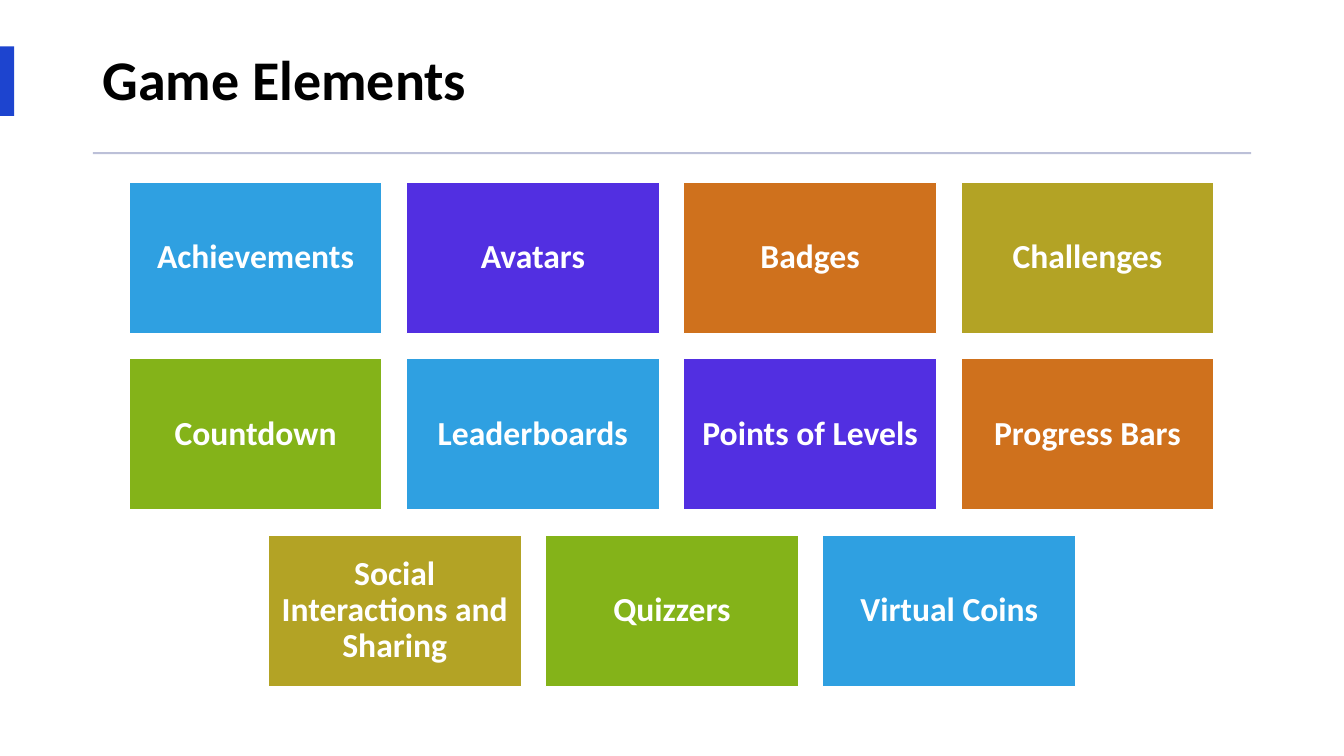
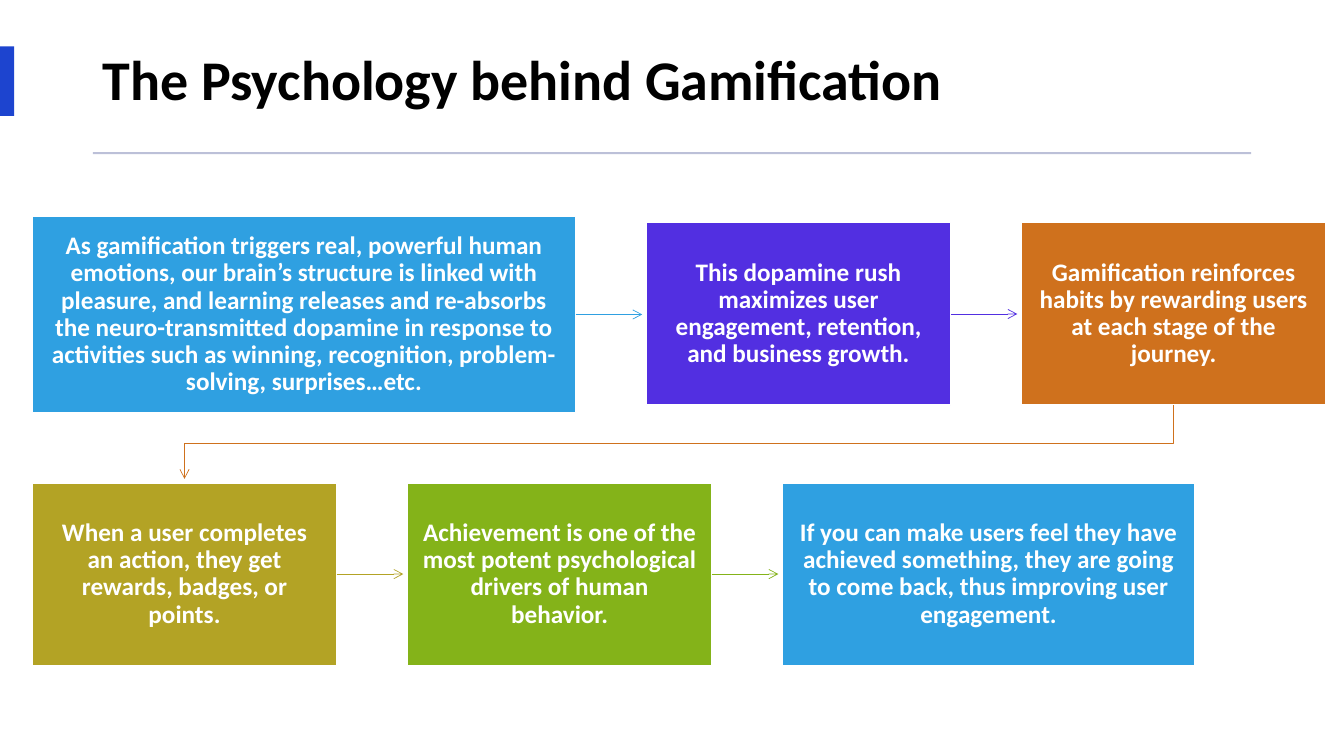
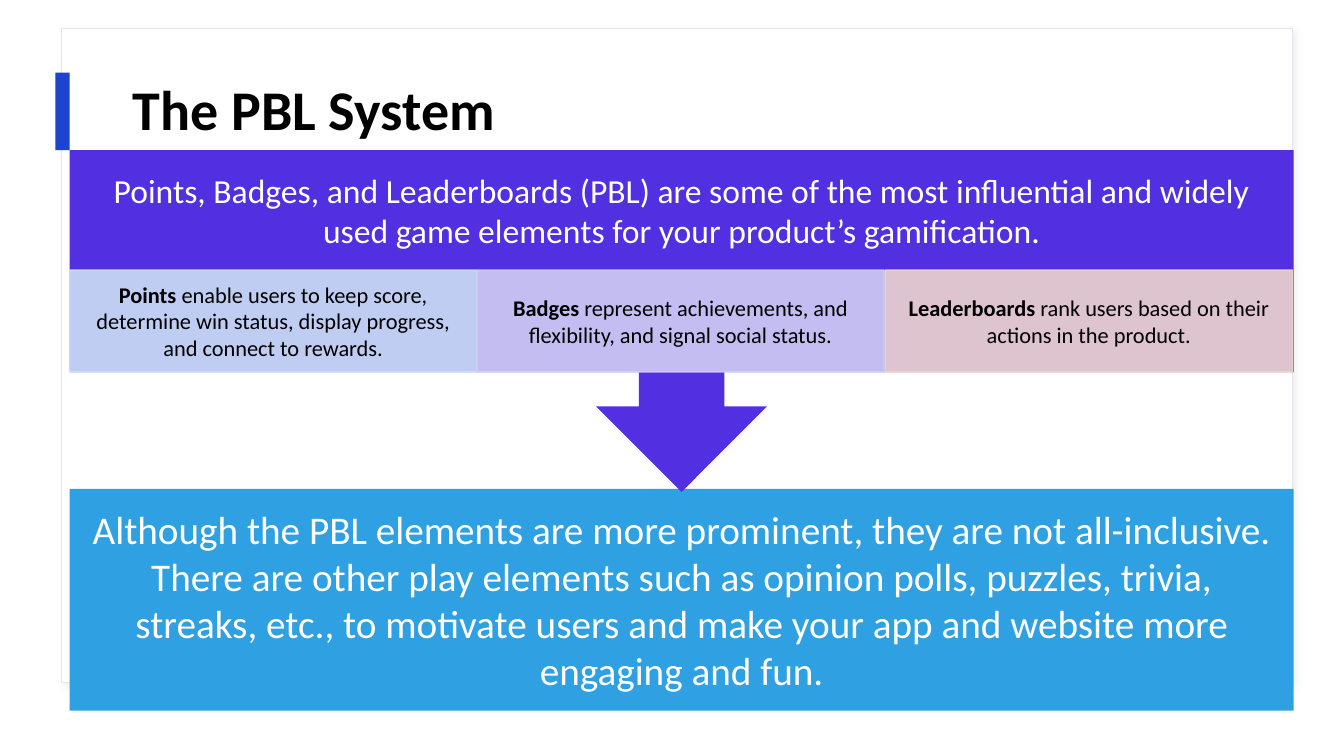
from dataclasses import dataclass
from typing import Optional

from lxml.etree import SubElement
from pptx import Presentation
from pptx.dml.color import RGBColor
from pptx.enum.shapes import MSO_CONNECTOR, MSO_SHAPE
from pptx.enum.text import MSO_ANCHOR, PP_ALIGN
from pptx.oxml.ns import qn
from pptx.util import Emu, Pt

PX = 9144  # EMU per px, 100 px to the inch
SLIDE_W, SLIDE_H = 1333, 750

FONT = "Calibri"
WHITE = RGBColor(0xFF, 0xFF, 0xFF)
BLACK = RGBColor(0x00, 0x00, 0x00)
ACCENT = RGBColor(0x1D, 0x44, 0xCF)
RULE = RGBColor(0xBC, 0xC0, 0xD8)
CARD_LINE = RGBColor(0xE4, 0xE6, 0xF0)
CARD_SHADOW = RGBColor(0xCA, 0xC7, 0xBC)
SKY = RGBColor(0x2F, 0xA0, 0xE1)
VIOLET = RGBColor(0x52, 0x2F, 0xE1)
ORANGE = RGBColor(0xCF, 0x71, 0x1D)
OLIVE = RGBColor(0xB3, 0xA3, 0x25)
GREEN = RGBColor(0x84, 0xB3, 0x19)
PALE_BLUE = RGBColor(0xCD, 0xDF, 0xF4)
PALE_VIOLET = RGBColor(0xD1, 0xCD, 0xF4)
PALE_ORANGE = RGBColor(0xED, 0xD5, 0xCD)
CYCLE = (SKY, VIOLET, ORANGE, OLIVE, GREEN)


@dataclass(frozen=True)
class Rect:
    x: int
    y: int
    w: int
    h: int

    def emu(self) -> tuple:
        return tuple(Emu(v * PX) for v in (self.x, self.y, self.w, self.h))


@dataclass(frozen=True)
class Run:
    text: str
    bold: bool = False


@dataclass(frozen=True)
class TextStyle:
    size: int
    color: RGBColor = WHITE
    align: PP_ALIGN = PP_ALIGN.CENTER
    spacing: float = 1.0
    insets: tuple = (10, 10, 10, 10)  # left, top, right, bottom


@dataclass(frozen=True)
class Step:
    text: str
    w: int
    h: int = 181


@dataclass(frozen=True)
class Detail:
    term: str
    text: str
    color: RGBColor


TITLE = TextStyle(40, BLACK, PP_ALIGN.LEFT, 0.9, (10, 5, 10, 5))
TILE = TextStyle(24, spacing=0.9)
STEP = TextStyle(18, spacing=0.9, insets=(15, 16, 15, 16))
# The bottom inset leaves room for the detail row inside the callout
INTRO = TextStyle(24, insets=(19, 19, 19, 120))
DETAIL = TextStyle(16, BLACK, insets=(12, 2, 12, 2))
SUMMARY = TextStyle(28, insets=(22, 22, 22, 22))


# Shared helpers
def write(s, style: TextStyle, runs: list[Run]) -> None:
    tf = s.text_frame
    tf.word_wrap = True
    tf.vertical_anchor = MSO_ANCHOR.MIDDLE
    tf.margin_left, tf.margin_top, tf.margin_right, tf.margin_bottom = (
        Emu(v * PX) for v in style.insets)
    p = tf.paragraphs[0]
    p.alignment = style.align
    p.line_spacing = style.spacing
    for run in runs:
        r = p.add_run()
        r.text = run.text
        r.font.name = FONT
        r.font.size = Pt(style.size)
        r.font.bold = run.bold
        r.font.color.rgb = style.color


def add_box(slide, rect: Rect, fill: RGBColor, line: Optional[RGBColor] = None,
            preset: MSO_SHAPE = MSO_SHAPE.RECTANGLE):
    s = slide.shapes.add_shape(preset, *rect.emu())
    s.shadow.inherit = False
    s.fill.solid()
    s.fill.fore_color.rgb = fill
    if line is None:
        s.line.fill.background()
    else:
        s.line.color.rgb = line
        s.line.width = Pt(1)
    return s


def set_alpha(s, percent: int) -> None:
    for clr in s._element.spPr.iter(qn("a:srgbClr")):
        SubElement(clr, qn("a:alpha")).set("val", str(percent * 1000))


def style_arrow(s, color: RGBColor) -> None:
    s.line.color.rgb = color
    s.line.width = Pt(0.5)
    SubElement(s.line._get_or_add_ln(), qn("a:tailEnd")).set("type", "arrow")


def add_title(slide, text: str, rect: Rect, bar: Rect) -> None:
    s = slide.shapes.add_textbox(*rect.emu())
    write(s, TITLE, [Run(text, bold=True)])
    add_box(slide, bar, ACCENT)


def add_ruled_title(slide, text: str) -> None:
    add_title(slide, text, Rect(92, 27, 1149, 110), Rect(0, 46, 14, 69))
    add_box(slide, Rect(92, 151, 1149, 2), RULE)


# Slide 1: centred rows of tiles
ELEMENTS = (
    "Achievements", "Avatars", "Badges", "Challenges",
    "Countdown", "Leaderboards", "Points of Levels", "Progress Bars",
    "Social Interactions and Sharing", "Quizzers", "Virtual Coins",
)


def build_elements(slide) -> None:
    add_ruled_title(slide, "Game Elements")
    columns, w, h, gap, top = 4, 251, 150, 24, 181
    for i, name in enumerate(ELEMENTS):
        row, col = divmod(i, columns)
        count = min(columns, len(ELEMENTS) - row * columns)
        left = (SLIDE_W - count * w - (count - 1) * gap) // 2
        rect = Rect(left + col * (w + gap), top + row * 175, w, h)
        s = add_box(slide, rect, CYCLE[i % len(CYCLE)], WHITE)
        write(s, TILE, [Run(name, bold=True)])


# Slide 2: two rows of steps joined by arrows
STEP_ROWS = (
    (312, (
        Step("As gamification triggers real, powerful human emotions, our brain’s "
             "structure is linked with pleasure, and learning releases and "
             "re-absorbs the neuro-transmitted dopamine in response to activities "
             "such as winning, recognition, problem-solving, surprises…etc.",
             539, 194),
        Step("This dopamine rush maximizes user engagement, retention, and "
             "business growth.", 302),
        Step("Gamification reinforces habits by rewarding users at each stage "
             "of the journey.", 302),
    )),
    (570, (
        Step("When a user completes an action, they get rewards, badges, or "
             "points.", 302),
        Step("Achievement is one of the most potent psychological drivers of "
             "human behavior.", 302),
        Step("If you can make users feel they have achieved something, they are "
             "going to come back, thus improving user engagement.", 409),
    )),
)


def add_arrow(slide, source, length: int, color: RGBColor) -> None:
    x, y = source.left + source.width, source.top + source.height // 2
    s = slide.shapes.add_connector(
        MSO_CONNECTOR.STRAIGHT, x, y, x + Emu(length * PX), y)
    s.begin_connect(source, 3)
    style_arrow(s, color)
    SubElement(s._element.spPr, qn("a:effectLst"))


def add_return_arrow(slide, start: Rect, end: Rect, color: RGBColor,
                     clearance: int) -> None:
    x1, y1 = start.x + start.w // 2, start.y + start.h
    x2, y2 = end.x + end.w // 2, end.y - clearance
    turn = (y1 + end.y) // 2
    path = slide.shapes.build_freeform(x1, y1, scale=PX)
    path.add_line_segments([(x1, turn), (x2, turn), (x2, y2)], close=False)
    s = path.convert_to_shape()
    s.shadow.inherit = False
    s.fill.background()
    style_arrow(s, color)


def build_psychology(slide) -> None:
    add_ruled_title(slide, "The Psychology behind Gamification")
    left, gap, clearance = 32, 70, 4
    rects, colors = [], []
    for middle, steps in STEP_ROWS:
        x = left
        for col, step in enumerate(steps):
            color = CYCLE[len(rects) % len(CYCLE)]
            rect = Rect(x, (2 * middle - step.h) // 2, step.w, step.h)
            s = add_box(slide, rect, color, WHITE)
            write(s, STEP, [Run(step.text, bold=True)])
            if col < len(steps) - 1:
                add_arrow(slide, s, gap - clearance, color)
            rects.append(rect)
            colors.append(color)
            x += step.w + gap
    turn = len(STEP_ROWS[0][1])
    add_return_arrow(slide, rects[turn - 1], rects[turn], colors[turn - 1], clearance)


# Slide 3: callout, detail row and summary
DETAILS = (
    Detail("Points ", "enable users to keep score, determine win status, display "
           "progress, and connect to rewards.", PALE_BLUE),
    Detail("Badges ", "represent achievements, and flexibility, and signal social "
           "status.", PALE_VIOLET),
    Detail("Leaderboards ", "rank users based on their actions in the product.",
           PALE_ORANGE),
)


def add_card(slide, rect: Rect) -> None:
    s = add_box(slide, rect, WHITE, CARD_LINE)
    effects = s._element.spPr.find(qn("a:effectLst"))
    shadow = SubElement(effects, qn("a:outerShdw"))
    for key, val in (("blurRad", Pt(4)), ("dist", Pt(3)), ("dir", 45 * 60000)):
        shadow.set(key, str(int(val)))
    clr = SubElement(shadow, qn("a:srgbClr"))
    clr.set("val", str(CARD_SHADOW))
    SubElement(clr, qn("a:alpha")).set("val", "30000")


def build_pbl(slide) -> None:
    add_card(slide, Rect(61, 28, 1221, 649))
    add_title(slide, "The PBL System", Rect(122, 56, 1119, 111), Rect(55, 72, 14, 77))
    left, width = 69, 1214

    s = add_box(slide, Rect(left, 485, width, 220), SKY)
    write(s, SUMMARY, [Run(
        "Although the PBL elements are more prominent, they are not "
        "all-inclusive. There are other play elements such as opinion polls, "
        "puzzles, trivia, streaks, etc., to motivate users and make your app and "
        "website more engaging and fun.")])

    s = add_box(slide, Rect(left, 149, width, 339), VIOLET,
                preset=MSO_SHAPE.DOWN_ARROW_CALLOUT)
    write(s, INTRO, [Run(
        "Points, Badges, and Leaderboards (PBL) are some of the most influential "
        "and widely used game elements for your product’s gamification.")])

    cell_w = width // len(DETAILS)
    for i, detail in enumerate(DETAILS):
        rect = Rect(left + i * width // len(DETAILS), 268, cell_w, 101)
        s = add_box(slide, rect, detail.color, detail.color)
        set_alpha(s, 90)
        write(s, DETAIL, [Run(detail.term, bold=True), Run(detail.text)])


def main() -> None:
    prs = Presentation()
    prs.slide_width, prs.slide_height = Emu(SLIDE_W * PX), Emu(SLIDE_H * PX)
    for build in (build_elements, build_psychology, build_pbl):
        build(prs.slides.add_slide(prs.slide_layouts[6]))
    prs.save("out.pptx")


if __name__ == "__main__":
    main()
